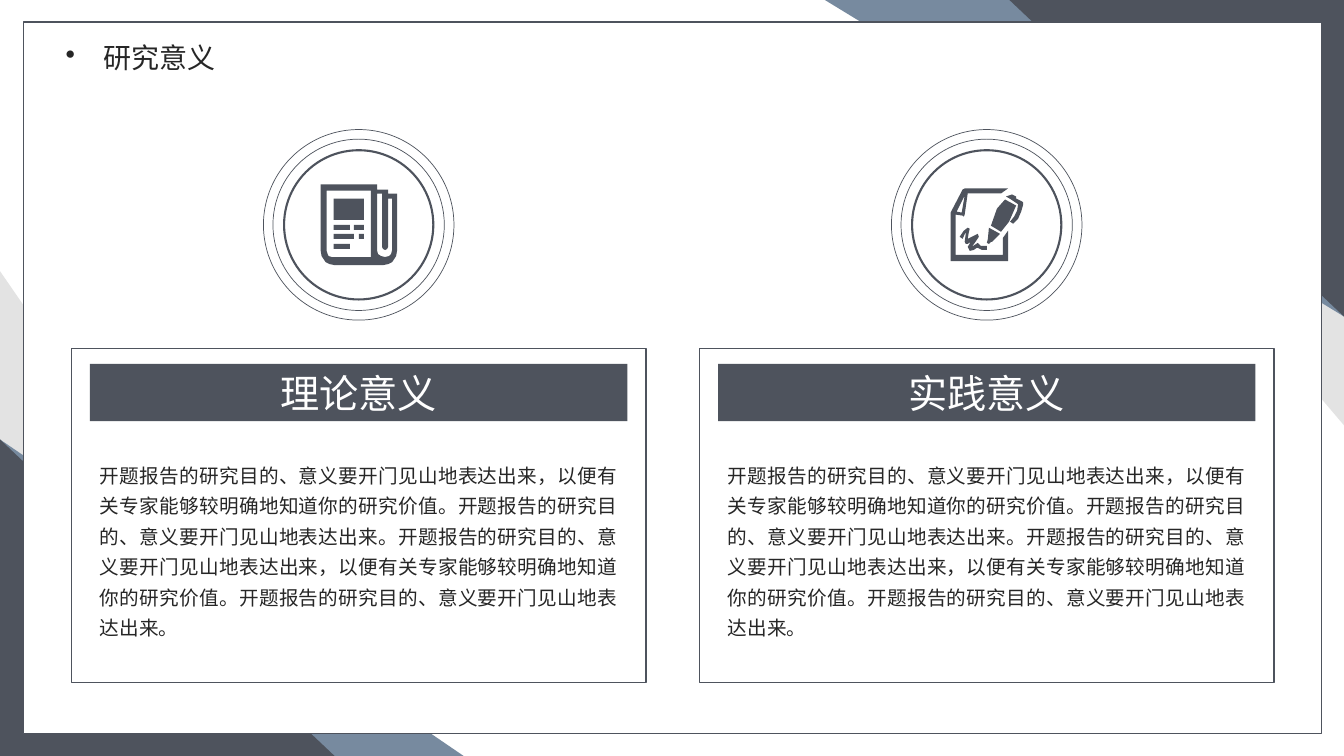
from lxml import etree
from pptx import Presentation
from pptx.dml.color import RGBColor
from pptx.enum.shapes import MSO_SHAPE
from pptx.enum.text import MSO_ANCHOR, MSO_AUTO_SIZE, PP_ALIGN
from pptx.oxml.ns import qn
from pptx.util import Pt

RECT, OVAL, TRIANGLE = MSO_SHAPE.RECTANGLE, MSO_SHAPE.OVAL, MSO_SHAPE.RIGHT_TRIANGLE
MIDDLE, TOP = MSO_ANCHOR.MIDDLE, MSO_ANCHOR.TOP
CENTER, JUSTIFY = PP_ALIGN.CENTER, PP_ALIGN.JUSTIFY
NO_AUTOSIZE = MSO_AUTO_SIZE.NONE

FONT = "Noto Sans CJK SC"
COLORS = {"slate": "4E535D", "blue": "778A9F", "gray": "E3E3E3",
          "white": "FFFFFF", "ink": "262626"}

WIDTH, HEIGHT = 960, 540
PANEL_W, PANEL_H, PANEL_TOP = 410.4, 238.3, 249.1
BAR_W, BAR_H, BAR_TOP = 383.8, 41, 259.9
BODY_TOP, BODY_H = 322.6, 139
RING_CENTER = 160.6
RINGS = [(106.6, 1.5), (122.4, 0.5), (136.1, 0.5)]  # diameter, line weight
ICON_UNIT = 0.72

PURPOSE = "开题报告的研究目的、意义要开门见山地表达出来"
VALUE = "，以便有关专家能够较明确地知道你的研究价值。"
BODY = PURPOSE + VALUE + PURPOSE + "。" + PURPOSE + VALUE + PURPOSE + "。"


def box(left, top, right, bottom):
    return [(left, top), (right, top), (right, bottom), (left, bottom)]


# Icon outlines, in icon units from the icon's top left corner
NEWSPAPER = [
    [(0, 0), (56, 0), (56, 5), (67, 5), (67, 9), (76, 9), (76, 65), (75, 71),
     (71, 77), (67, 79), (62, 80), (14, 80), (9, 79), (5, 77), (1, 71), (0, 65)],
    [(50, 6), (6, 6), (6, 66), (7, 69), (8, 71), (11, 72), (50, 72)],
    [(71, 14), (67, 14), (67, 62), (66, 64), (64, 65), (62, 64), (61, 62),
     (61, 9), (56, 9), (56, 65), (57, 69), (60, 71), (64, 72), (68, 71),
     (70, 69), (71, 65)],
    box(13, 14, 43, 35), box(13, 40, 29, 45), box(33, 40, 43, 45),
    box(13, 49, 33, 54), box(38, 49, 43, 54), box(13, 59, 29, 64),
]
SIGNED_PAGE = [
    # Page and folded corner
    [(14, 0), (57, 0), (50, 5), (17, 5), (14, 26), (13, 28), (12, 27), (5, 26),
     (5, 66), (52, 66), (52, 49), (57, 42), (57, 72), (0, 72), (0, 24), (12, 1)],
    [(14, 7), (6, 23), (11, 24)],
    # Signature
    [(9, 48), (12, 50), (15, 43), (15, 45), (14, 53), (15, 55), (17, 55),
     (20, 53), (17, 58), (19, 62), (23, 61), (26, 59), (27, 59), (31, 61),
     (36, 61), (36, 57), (30, 57), (27, 54), (24, 56), (21, 58), (24, 54),
     (28, 48), (27, 45), (21, 48), (17, 50), (18, 44), (19, 40), (17, 39),
     (13, 42)],
    # Pen: nib, clip, barrel
    [(38, 39), (37, 50), (36, 54), (38, 55), (40, 53), (41, 53), (49, 45)],
    [(65, 10), (65, 8), (61, 6), (55, 8), (60, 11), (66, 15), (67, 16),
     (66, 22), (63, 28), (59, 33), (62, 35), (67, 30), (70, 23), (72, 16),
     (72, 14), (71, 13)],
    [(54, 11), (46, 20), (40, 37), (50, 43), (58, 33), (65, 17)],
]

# Heading, centre of the column, icon outlines, icon left and top
COLUMNS = [("理论意义", 256.2, NEWSPAPER, 229, 131.8),
           ("实践意义", 704.8, SIGNED_PAGE, 679, 134.6)]

# Corner triangles: width, height, colour, whether at the top right
CORNERS = [(239, 346.3, "gray", False), (331.2, 226.1, "blue", False),
           (239, 226.1, "slate", False), (258.5, 303.8, "gray", True),
           (370.8, 226.1, "blue", True), (239, 226.1, "slate", True)]


def rgb(name):
    return RGBColor.from_string(COLORS[name])


def paint(shape, fill=None, line=None, weight=1):
    shape.shadow.inherit = False
    if fill:
        shape.fill.solid()
        shape.fill.fore_color.rgb = rgb(fill)
    else:
        shape.fill.background()
    if line:
        shape.line.color.rgb = rgb(line)
        shape.line.width = Pt(weight)
    else:
        shape.line.fill.background()


def add_figure(slide, kind, left, top, width, height, **style):
    figure = slide.shapes.add_shape(kind, Pt(left), Pt(top), Pt(width), Pt(height))
    paint(figure, **style)
    return figure


def write(shape, text, size, color, align, anchor):
    frame = shape.text_frame
    frame.text = text
    frame.word_wrap = True
    frame.auto_size = NO_AUTOSIZE
    frame.vertical_anchor = anchor
    paragraph = frame.paragraphs[0]
    paragraph.alignment = align
    paragraph.font.name = FONT
    paragraph.font.size = Pt(size)
    paragraph.font.color.rgb = rgb(color)
    defaults = paragraph._p.pPr.find(qn("a:defRPr"))
    etree.SubElement(defaults, qn("a:ea"), typeface=FONT)
    return paragraph


def add_bullet(paragraph, indent):
    properties = paragraph._p.pPr
    properties.set("marL", str(Pt(indent)))
    properties.set("indent", str(-Pt(indent)))
    bullet = etree.Element(qn("a:buChar"), char="•")
    properties.find(qn("a:defRPr")).addprevious(bullet)


def add_icon(slide, outlines, left, top):
    first = outlines[0]
    builder = slide.shapes.build_freeform(*first[0], scale=Pt(ICON_UNIT))
    builder.add_line_segments(first[1:])
    for outline in outlines[1:]:
        builder.move_to(*outline[0])
        builder.add_line_segments(outline[1:])
    paint(builder.convert_to_shape(Pt(left), Pt(top)), fill="slate")


def add_backdrop(slide):
    for width, height, color, top_right in CORNERS:
        left, top = (WIDTH - width, 0) if top_right else (0, HEIGHT - height)
        corner = add_figure(slide, TRIANGLE, left, top, width, height, fill=color)
        corner.rotation = 180 if top_right else 0
    return add_figure(slide, RECT, 16.6, 15.8, 927.4, 508.3, fill="white", line="slate")


def set_title(slide, backdrop):
    title = slide.shapes.title
    title.left, title.top, title.width, title.height = Pt(39.6), Pt(25.2), Pt(151.2), Pt(31.7)
    add_bullet(write(title, "研究意义", 20, "ink", JUSTIFY, MIDDLE), 27)
    backdrop.element.addnext(title.element)


def add_column(slide, heading, center, outlines, icon_left, icon_top):
    # Rings and icon
    for diameter, weight in RINGS:
        add_figure(slide, OVAL, center - diameter / 2, RING_CENTER - diameter / 2,
                   diameter, diameter, line="slate", weight=weight)
    add_icon(slide, outlines, icon_left, icon_top)
    # Panel with heading bar and body
    add_figure(slide, RECT, center - PANEL_W / 2, PANEL_TOP, PANEL_W, PANEL_H, line="slate")
    bar_left = center - BAR_W / 2
    bar = add_figure(slide, RECT, bar_left, BAR_TOP, BAR_W, BAR_H, fill="slate")
    write(bar, heading, 28, "white", CENTER, MIDDLE)
    body = slide.shapes.add_textbox(Pt(bar_left), Pt(BODY_TOP), Pt(BAR_W), Pt(BODY_H))
    write(body, BODY, 14, "ink", JUSTIFY, TOP).line_spacing = Pt(21.8)


def main():
    deck = Presentation()
    deck.slide_width, deck.slide_height = Pt(WIDTH), Pt(HEIGHT)
    slide = deck.slides.add_slide(deck.slide_layouts[5])
    set_title(slide, add_backdrop(slide))
    for column in COLUMNS:
        add_column(slide, *column)
    deck.save("out.pptx")


if __name__ == "__main__":
    main()
